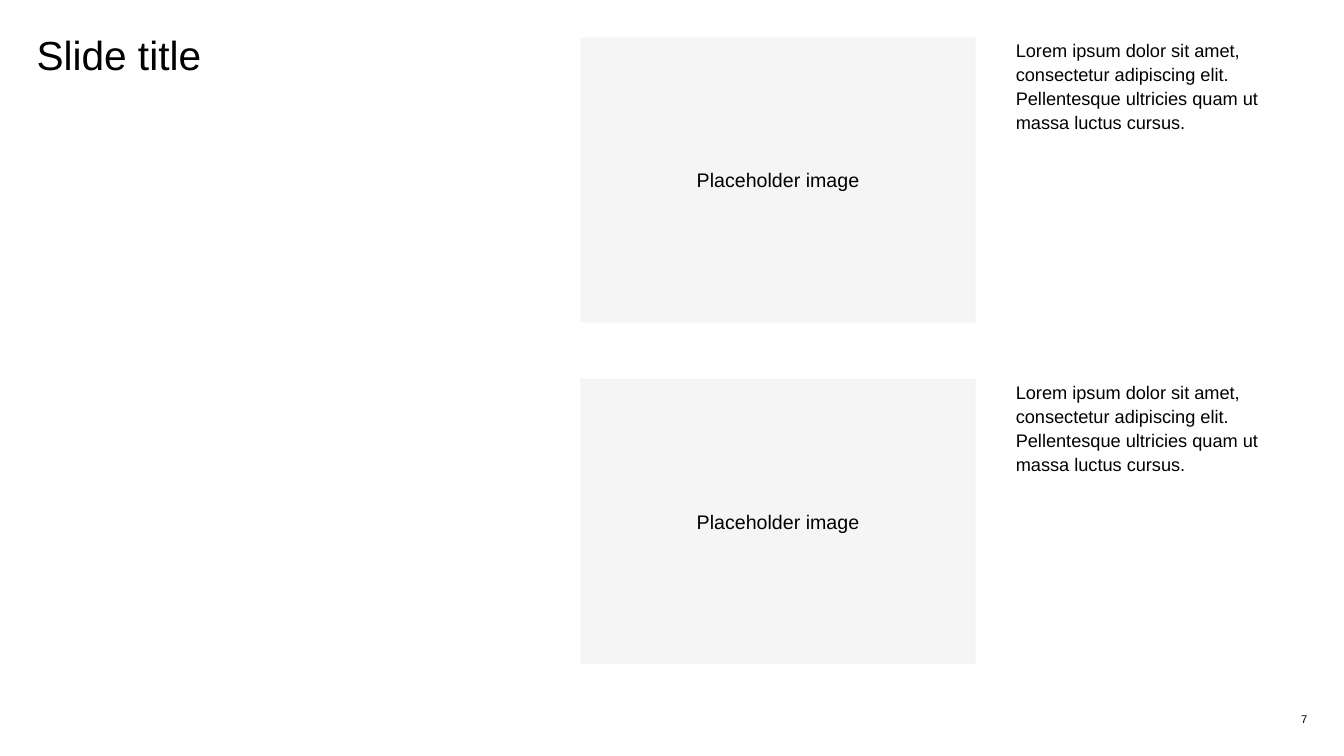
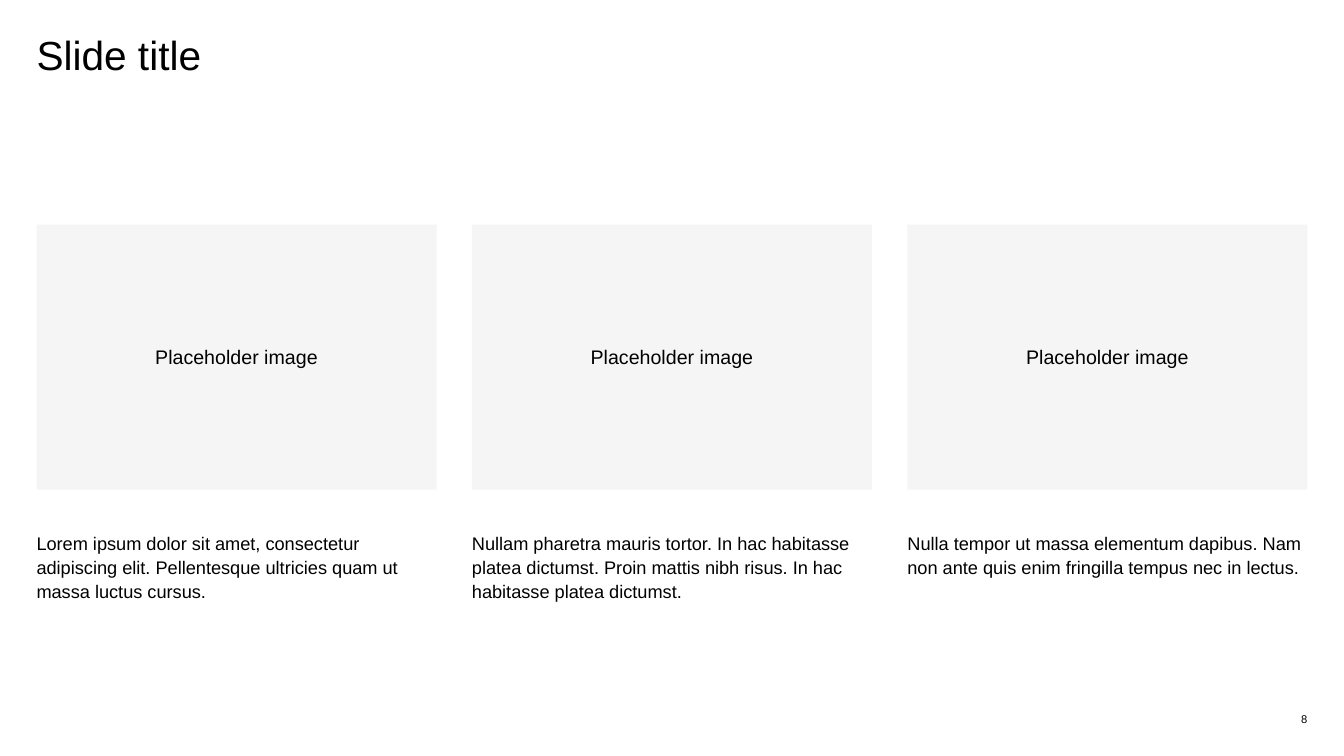
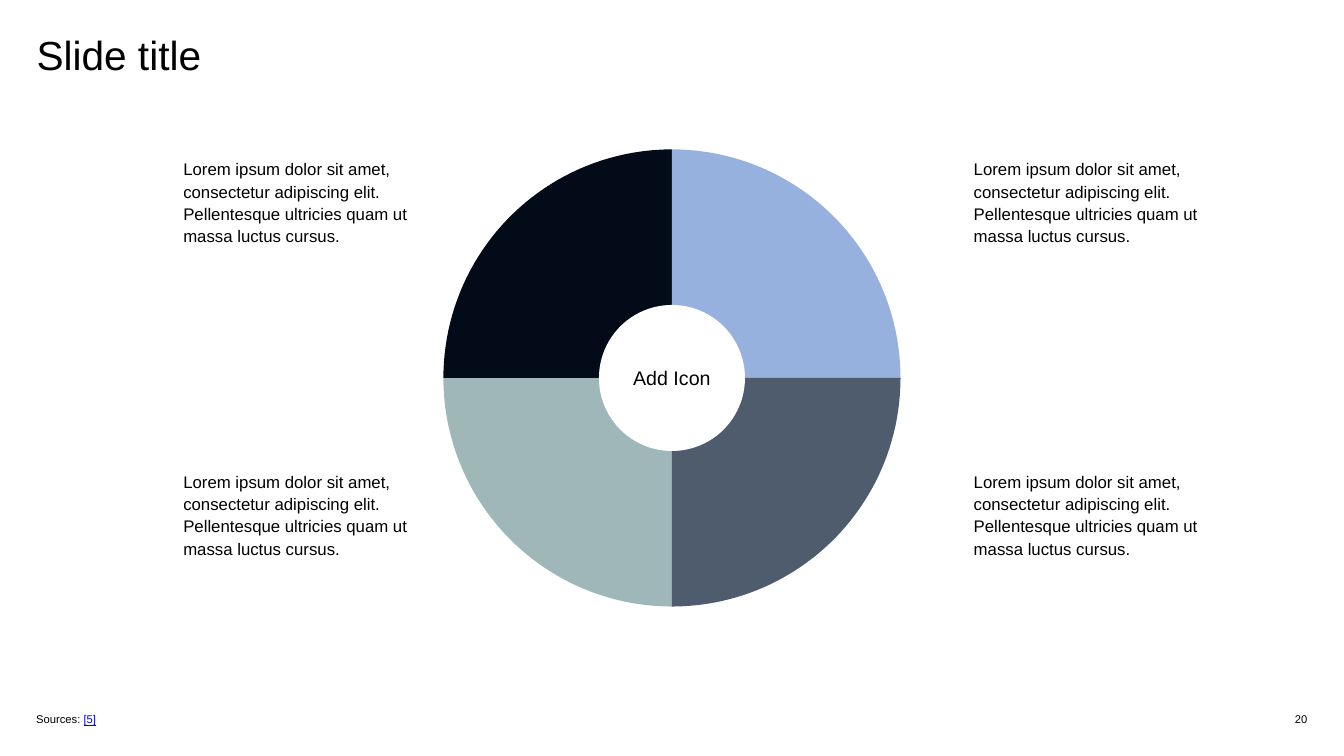
from dataclasses import dataclass
from math import cos, radians, sin

from pptx import Presentation
from pptx import util as u
from pptx.dml.color import RGBColor
from pptx.enum import shapes, text


@dataclass(frozen=True)
class Theme:
    font: str = "Arial"
    ink: str = "000000"
    paper: str = "FFFFFF"
    panel: str = "F5F5F5"
    link: str = "0000FF"
    quadrants: tuple = ("9FB7B9", "030A18", "97B1DF", "4E5C6E")
    title: int = 29
    label: int = 14
    body: int = 13
    body_small: int = 12
    footer: int = 8


@dataclass(frozen=True)
class Box:
    """A region, in centimetres."""
    left: float
    top: float
    width: float
    height: float

    def emu(self):
        return [u.Cm(v) for v in (self.left, self.top, self.width, self.height)]

    def cell(self, column, row, columns, rows, gap):
        width = (self.width - gap * (columns - 1)) / columns
        height = (self.height - gap * (rows - 1)) / rows
        return Box(self.left + column * (width + gap),
                   self.top + row * (height + gap), width, height)


THEME = Theme()
SLIDE_W, SLIDE_H = 33.87, 19.05
MARGIN = 0.92
CONTENT_W = SLIDE_W - 2 * MARGIN

FLUSH = dict(margin_left=0, margin_top=0, margin_right=0, margin_bottom=0)
GROW = dict(word_wrap=True, auto_size=text.MSO_AUTO_SIZE.SHAPE_TO_FIT_TEXT)
FLOWING = dict(line_spacing=1.1, space_after=u.Pt(13))
CENTRED = dict(alignment=text.PP_ALIGN.CENTER)

LOREM = ("Lorem ipsum dolor sit amet, consectetur adipiscing elit. "
         "Pellentesque ultricies quam ut massa luctus cursus.")
NULLAM = ("Nullam pharetra mauris tortor. In hac habitasse platea dictumst. "
          "Proin mattis nibh risus. In hac habitasse platea dictumst.")
NULLA = ("Nulla tempor ut massa elementum dapibus. Nam non ante quis enim "
         "fringilla tempus nec in lectus.")


# Formatting helpers
def apply(target, formats):
    for name, value in formats.items():
        setattr(target, name, value)


def write(paragraph, words, size, color=THEME.ink, **formats):
    run = paragraph.add_run()
    run.text = words
    apply(run.font, dict(name=THEME.font, size=u.Pt(size), **formats))
    run.font.color.rgb = RGBColor.from_string(color)


def fill_frame(frame, words, size, frame_formats, paragraph_formats):
    apply(frame, frame_formats)
    paragraph = frame.paragraphs[0]
    apply(paragraph, paragraph_formats)
    write(paragraph, words, size)
    return paragraph


def paint(shape, color):
    shape.shadow.inherit = False
    shape.fill.solid()
    shape.fill.fore_color.rgb = RGBColor.from_string(color)
    shape.line.fill.background()


# Parts shared by the slides
def start_slide(deck, number, title_width=CONTENT_W):
    slide = deck.slides.add_slide(deck.slide_layouts[5])
    title = slide.shapes.title
    title.left, title.top, title.width, title.height = Box(
        MARGIN, 0.76, title_width, 1.24).emu()
    fill_frame(title.text_frame, "Slide title", THEME.title,
               dict(FLUSH, word_wrap=True, auto_size=text.MSO_AUTO_SIZE.NONE,
                    vertical_anchor=text.MSO_ANCHOR.TOP),
               dict(alignment=text.PP_ALIGN.LEFT))
    page = slide.shapes.add_textbox(*Box(32, 17.88, 0.95, 0.46).emu())
    fill_frame(page.text_frame, str(number), THEME.footer,
               dict(FLUSH, word_wrap=True,
                    vertical_anchor=text.MSO_ANCHOR.MIDDLE),
               dict(alignment=text.PP_ALIGN.RIGHT))
    return slide


def add_caption(slide, box, words, size=THEME.body):
    caption = slide.shapes.add_textbox(*box.emu())
    fill_frame(caption.text_frame, words, size, dict(FLUSH, **GROW), FLOWING)


def add_panel(slide, box, words, color, kind=shapes.MSO_SHAPE.RECTANGLE):
    panel = slide.shapes.add_shape(kind, *box.emu())
    paint(panel, color)
    fill_frame(panel.text_frame, words, THEME.label,
               dict(word_wrap=True, vertical_anchor=text.MSO_ANCHOR.MIDDLE),
               CENTRED)


def add_sources(slide, box, reference):
    sources = slide.shapes.add_textbox(*box.emu())
    line = fill_frame(sources.text_frame, "Sources: ", THEME.footer,
                      dict(GROW, vertical_anchor=text.MSO_ANCHOR.BOTTOM), {})
    write(line, reference, THEME.footer, THEME.link, underline=True)


# Regions
def picture_rows(slide, box, captions):
    """Stacked panels, each with its caption to the right."""
    panel_w, caption_w = 9.96, 7.35
    for row, words in enumerate(captions):
        band = box.cell(0, row, 1, len(captions), 1.42)
        add_panel(slide, Box(band.left, band.top, panel_w, band.height),
                  "Placeholder image", THEME.panel)
        add_caption(slide, Box(band.left + band.width - caption_w, band.top,
                               caption_w, 2.9), words)


def picture_columns(slide, box, captions):
    """Panels side by side, each with its caption below."""
    panel_h, caption_offset = 6.68, 7.7
    for column, words in enumerate(captions):
        band = box.cell(column, 0, len(captions), 1, 0.89)
        add_panel(slide, Box(band.left, band.top, band.width, panel_h),
                  "Placeholder image", THEME.panel)
        add_caption(slide, Box(band.left, band.top + caption_offset,
                               band.width, band.height - caption_offset), words)


def add_quadrant(slide, centre_x, centre_y, radius, start, color):
    arc = [(u.Cm(centre_x + radius * cos(radians(angle))),
            u.Cm(centre_y + radius * sin(radians(angle))))
           for angle in range(start, start + 91, 2)]
    builder = slide.shapes.build_freeform(u.Cm(centre_x), u.Cm(centre_y))
    builder.add_line_segments(arc, close=True)
    paint(builder.convert_to_shape(), color)


def quadrant_wheel(slide, box, hub_size):
    """A disc in four quadrants around a white hub."""
    radius = box.width / 2
    centre_x, centre_y = box.left + radius, box.top + radius
    for index, color in enumerate(THEME.quadrants):
        add_quadrant(slide, centre_x, centre_y, radius, 90 * (index + 1), color)
    add_panel(slide, Box(centre_x - hub_size / 2, centre_y - hub_size / 2,
                         hub_size, hub_size),
              "Add Icon", THEME.paper, shapes.MSO_SHAPE.OVAL)


def corner_captions(slide, box, words):
    width, height = 6.55, 2.72
    for left in (box.left, box.left + box.width - width):
        for top in (box.top, box.top + box.height - height):
            add_caption(slide, Box(left, top, width, height), words,
                        THEME.body_small)


# Slides
def rows_slide(deck):
    slide = start_slide(deck, 7, title_width=12.7)
    picture_rows(slide, Box(14.63, 0.94, 18.32, 15.8), [LOREM, LOREM])


def columns_slide(deck):
    slide = start_slide(deck, 8)
    picture_columns(slide, Box(MARGIN, 5.66, CONTENT_W, 9.98),
                    [LOREM, NULLAM, NULLA])


def wheel_slide(deck):
    slide = start_slide(deck, 20)
    diameter = 11.52
    quadrant_wheel(slide, Box((SLIDE_W - diameter) / 2,
                              (SLIDE_H - diameter) / 2, diameter, diameter),
                   hub_size=3.68)
    corner_captions(slide, Box(4.62, 3.96, 26.47, 10.6), LOREM)
    add_sources(slide, Box(0.66, 17.81, 15.67, 0.61), "[5]")


def main():
    deck = Presentation()
    deck.slide_width, deck.slide_height = u.Cm(SLIDE_W), u.Cm(SLIDE_H)
    for build in (rows_slide, columns_slide, wheel_slide):
        build(deck)
    deck.save("out.pptx")


if __name__ == "__main__":
    main()
